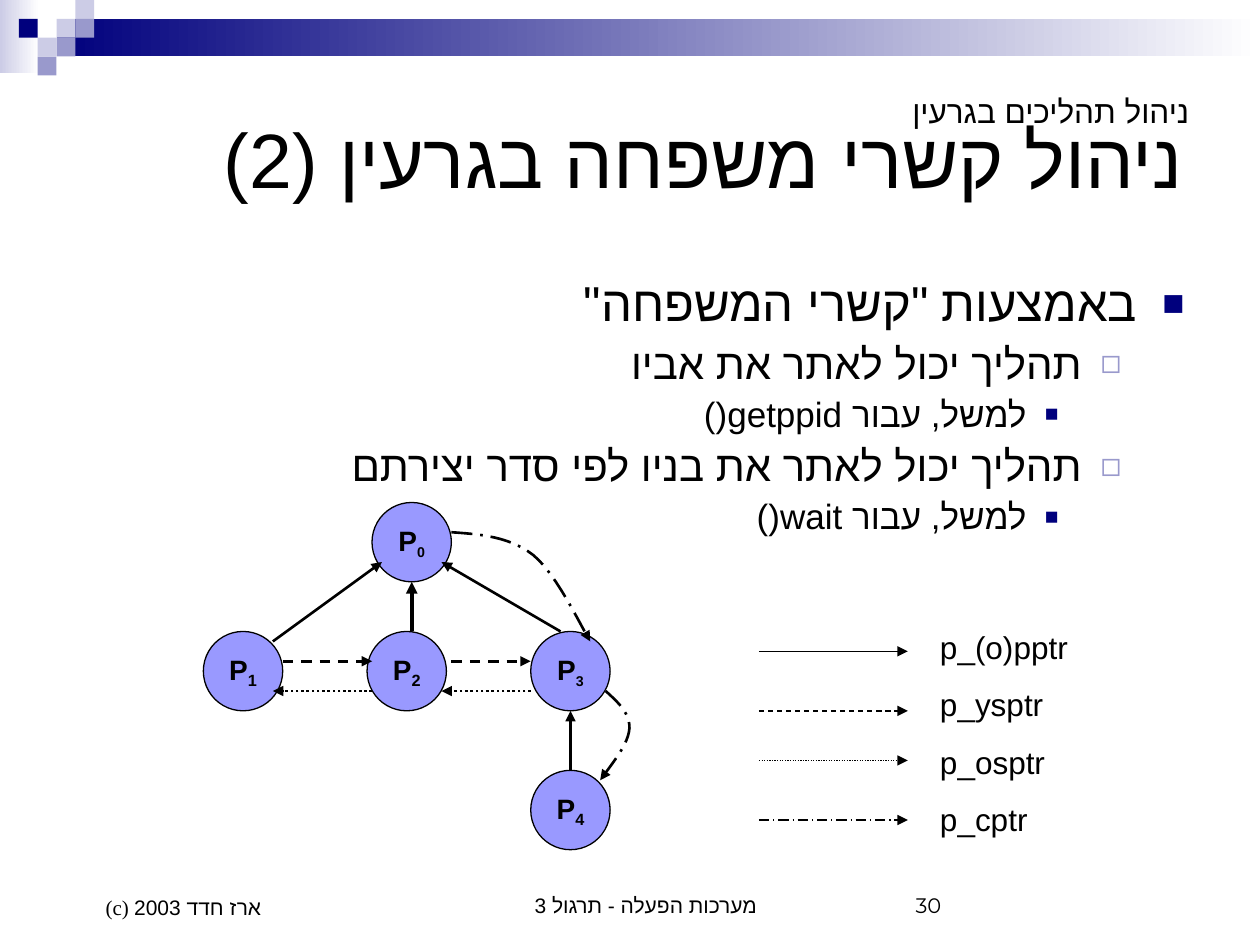
from lxml import etree
from pptx import Presentation
from pptx import util as u
from pptx.dml.color import RGBColor
from pptx.enum import dml, shapes, text
from pptx.oxml.ns import qn

HUES = {"ink": "000000", "navy": "00007D", "mist": "CCCCE6", "lilac": "9999CC",
        "node": "9999FF", "white": "FFFFFF"}
DASH = dml.MSO_LINE
ALIGN = text.PP_ALIGN
MID, LOW = text.MSO_ANCHOR.MIDDLE, text.MSO_ANCHOR.BOTTOM


def hue(name):
    return RGBColor.from_string(HUES[name])


def add(parent, tag, **attrs):
    return etree.SubElement(parent, qn(tag), attrs)


class Deck:
    def __init__(self):
        self.show = Presentation()
        self.show.slide_width, self.show.slide_height = u.Cm(25.4), u.Cm(19.05)
        self.slide = self.show.slides.add_slide(self.show.slide_layouts[1])
        self.items = self.slide.shapes

    def style(self, para, size, face="Arial", script="Arial", align=None, rtl=False, bold=False):
        para.alignment = align
        if rtl:
            para._p.get_or_add_pPr().set("rtl", "1")
        font = para.font
        font.size, font.name, font.bold = u.Pt(size), face, bold
        font.color.rgb = hue("ink")
        add(font._element, "a:cs", typeface=script)

    def place(self, shape, x, y, w, h):
        shape.left, shape.top, shape.width, shape.height = map(u.Cm, (x, y, w, h))

    def title(self, words, box):
        shape = self.items.title
        self.place(shape, *box)
        frame = shape.text_frame
        frame.text, frame.vertical_anchor = words, MID
        frame.auto_size = text.MSO_AUTO_SIZE.NONE
        self.style(frame.paragraphs[0], 44, align=ALIGN.RIGHT, rtl=True)

    def body(self, lines, box):
        levels = [(28, 7, 0.95, 0.95, "■", "navy", 75),
                  (24, 6, 2.06, 0.79, "◻", "lilac", 80),
                  (20, 5, 3.18, 0.64, "■", "navy", 65)]
        shape = self.slide.placeholders[1]
        self.place(shape, *box)
        frame = shape.text_frame
        frame.auto_size = text.MSO_AUTO_SIZE.NONE
        for i, (level, words) in enumerate(lines):
            size, gap, left, hang, mark, tint, scale = levels[level]
            para = frame.add_paragraph() if i else frame.paragraphs[0]
            para.text, para.level = words, level
            para.line_spacing, para.space_before = 0.9, u.Pt(gap if i else 0)
            props = para._p.get_or_add_pPr()
            props.set("marL", str(u.Cm(left)))
            props.set("marR", "0")
            props.set("indent", str(-u.Cm(hang)))
            add(add(props, "a:buClr"), "a:srgbClr", val=HUES[tint])
            add(props, "a:buSzPct", val=str(scale * 1000))
            add(props, "a:buFont", typeface="Arial")
            add(props, "a:buChar", char=mark)
            self.style(para, size, align=ALIGN.RIGHT, rtl=True)

    def label(self, lines, box, size, anchor=None, gap=0, indent=0, wrap=True, **look):
        frame = self.items.add_textbox(*map(u.Cm, box)).text_frame
        frame.word_wrap, frame.vertical_anchor = wrap, anchor
        for i, words in enumerate(lines):
            para = frame.add_paragraph() if i else frame.paragraphs[0]
            para.text, para.space_before = words, u.Pt(gap if i else 0)
            if indent:
                para._p.get_or_add_pPr().set("marL", str(u.Cm(indent)))
            self.style(para, size, **look)

    def block(self, box, tint, fade=None):
        shape = self.items.add_shape(shapes.MSO_SHAPE.RECTANGLE, *map(u.Cm, box))
        shape.shadow.inherit = False
        shape.line.fill.background()
        if fade:
            shape.fill.gradient()
            shape.fill.gradient_angle = 180
            for stop, name, spot in zip(shape.fill.gradient_stops, (fade, tint), (0, 1)):
                stop.color.rgb, stop.position = hue(name), spot
        else:
            shape.fill.solid()
            shape.fill.fore_color.rgb = hue(tint)

    def node(self, x, y, digit, small, drop):
        shape = self.items.add_shape(shapes.MSO_SHAPE.OVAL, *map(u.Cm, (x, y, 1.6, 1.6)))
        shape.shadow.inherit = False
        shape.fill.solid()
        shape.fill.fore_color.rgb = hue("node")
        self.stroke(shape, 0.75)
        frame = shape.text_frame
        frame.word_wrap, frame.vertical_anchor = False, MID
        para = frame.paragraphs[0]
        self.style(para, 16, align=ALIGN.CENTER, rtl=True, bold=True)
        para.add_run().text = "P"
        sub = para.add_run()
        sub.text, sub.font.size = digit, u.Pt(small)
        sub.font._element.set("baseline", str(drop * 1000))

    def stroke(self, shape, width, dash=None, head=False):
        shape.line.color.rgb, shape.line.width = hue("ink"), u.Pt(width)
        if dash:
            shape.line.dash_style = dash
        if head:
            add(shape.line._get_or_add_ln(), "a:tailEnd", type="triangle")

    def arrow(self, x1, y1, x2, y2, width=1.5, dash=None):
        link = self.items.add_connector(shapes.MSO_CONNECTOR.STRAIGHT,
                                        *map(u.Cm, (x1, y1, x2, y2)))
        self.stroke(link, width, dash, head=True)
        add(link._element.spPr, "a:effectLst")

    def curve(self, start, *bends):
        dots, last = [], start
        for bend in bends:
            ends = (last, *bend)
            for step in range(1, 13):
                t = step / 12
                parts = ((1 - t) ** 3, 3 * t * (1 - t) ** 2, 3 * t * t * (1 - t), t ** 3)
                dots.append(tuple(u.Cm(sum(k * p[axis] for k, p in zip(parts, ends)))
                                  for axis in (0, 1)))
            last = bend[-1]
        form = self.items.build_freeform(*map(u.Cm, start))
        form.add_line_segments(dots, close=False)
        shape = form.convert_to_shape()
        shape.shadow.inherit = False
        shape.fill.background()
        self.stroke(shape, 1.5, DASH.LONG_DASH_DOT, head=True)


def main():
    deck = Deck()
    deck.block((0, 0, 0.79, 1.47), "mist", fade="white")
    deck.block((1.14, 0.38, 24.26, 0.76), "navy", fade="white")
    cell = 0.38
    for col, row, tint in ((3, 1, "mist"), (4, 0, "mist"), (4, 1, "lilac"), (2, 2, "mist"),
                           (1, 1, "navy"), (3, 2, "lilac"), (2, 3, "lilac")):
        deck.block((col * cell, row * cell, cell, cell), tint)

    deck.title("ניהול קשרי משפחה בגרעין (2)", (1.27, 1.27, 22.86, 3.81))
    deck.body([(0, 'באמצעות "קשרי המשפחה"'),
               (1, "תהליך יכול לאתר את אביו"),
               (2, "למשל, עבור getppid()"),
               (1, "תהליך יכול לאתר את בניו לפי סדר יצירתם"),
               (2, "למשל, עבור wait()")], (1.27, 5.51, 22.86, 5.61))

    for spot in ((7.5, 10.13, "0", 14, -25), (10.7, 12.73, "3", 14, -22),
                 (7.4, 12.73, "2", 16, -22), (4.1, 12.73, "1", 16, -22),
                 (10.7, 15.53, "4", 16, -22)):
        deck.node(*spot)

    deck.arrow(11.3, 12.73, 8.9, 11.33)
    deck.arrow(8.3, 12.73, 8.3, 11.73, width=2.25)
    deck.arrow(5.5, 12.93, 7.7, 11.33)
    deck.arrow(11.5, 15.53, 11.5, 14.33)
    for x1, x2 in ((10.7, 8.9), (7.5, 5.5)):
        deck.arrow(x1, 13.93, x2, 13.93, dash=DASH.ROUND_DOT)
    for x1, x2 in ((5.7, 7.5), (9.1, 10.7)):
        deck.arrow(x1, 13.33, x2, 13.33, dash=DASH.DASH)
    deck.curve((9.1, 10.73), ((9.68, 10.77), (10.28, 10.82), (10.75, 11.19)),
               ((11.21, 11.56), (11.71, 12.62), (11.9, 12.93)))
    deck.curve((12.21, 13.93), ((12.45, 14.15), (12.7, 14.37), (12.69, 14.68)),
               ((12.67, 15), (12.38, 15.34), (12.1, 15.73)))

    deck.label(["p_(o)pptr", "p_ysptr", "p_osptr", "p_cptr"],
               (18.7, 12.53, 3.4, 4.5), 18, gap=11.2)
    for y, dash in ((13.13, None), (14.33, DASH.DASH), (15.33, DASH.ROUND_DOT),
                    (16.53, DASH.LONG_DASH_DOT)):
        deck.arrow(15.3, y, 18.3, y, width=0.75, dash=dash)

    deck.label(["ניהול תהליכים בגרעין"], (18.11, 1.73, 6.12, 1.02), 18, wrap=False,
               align=ALIGN.RIGHT, rtl=True)
    deck.label(["מערכות הפעלה - תרגול 3"], (8.69, 17.35, 8.05, 1.27), 12, anchor=LOW,
               indent=0.61, face="Times New Roman", align=ALIGN.CENTER)
    deck.label(["30"], (18.21, 17.35, 5.92, 1.27), 12, anchor=LOW, face="Montserrat")
    deck.label(["(c) ארז חדד 2003"], (1.27, 17.35, 5.92, 1.32), 12, anchor=LOW,
               indent=0.61, face="Times New Roman")
    deck.show.save("out.pptx")


if __name__ == "__main__":
    main()
